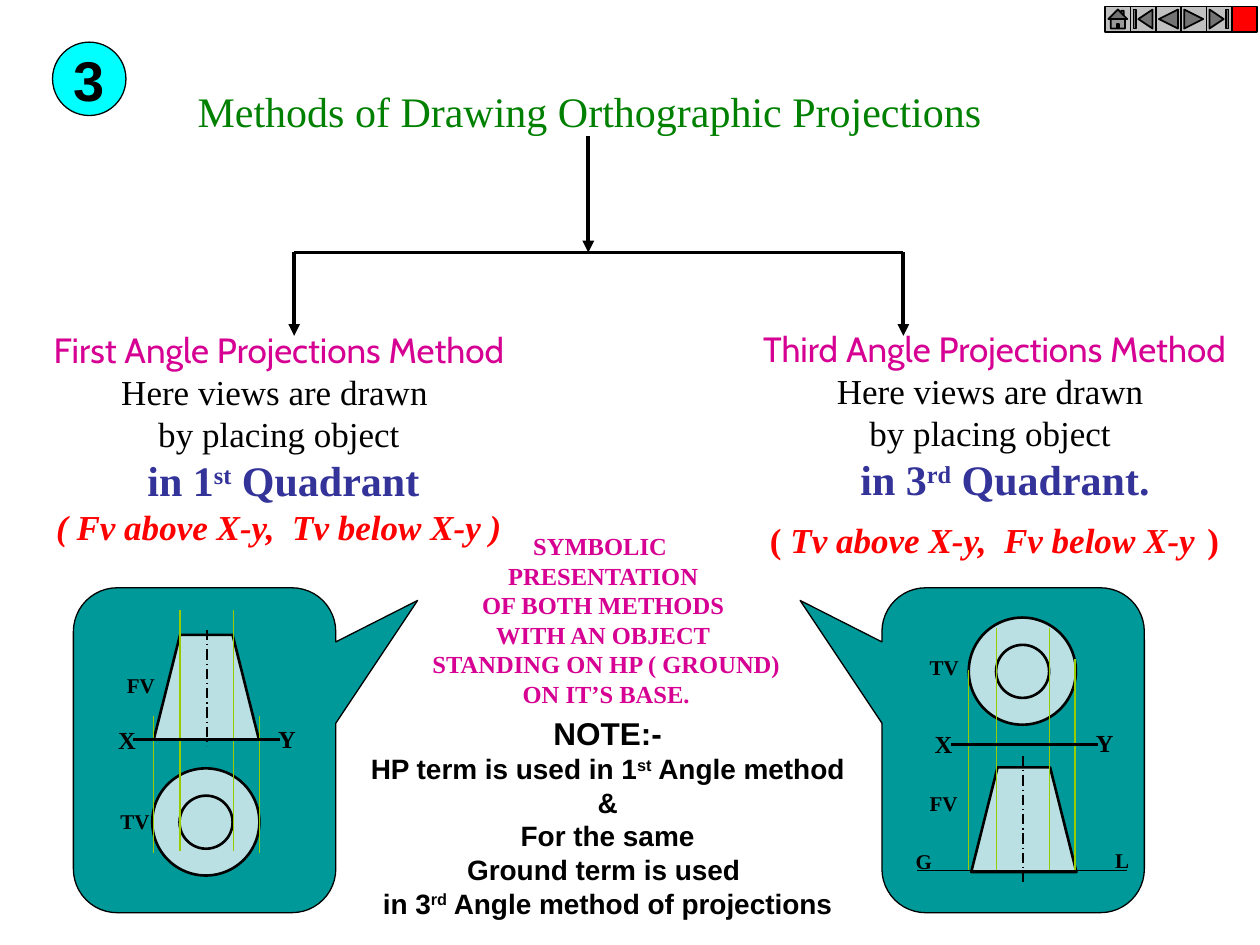
from lxml import etree
from pptx import Presentation
from pptx.dml.color import RGBColor
from pptx.enum.dml import MSO_LINE
from pptx.enum.shapes import MSO_CONNECTOR, MSO_SHAPE
from pptx.enum.text import MSO_ANCHOR, MSO_AUTO_SIZE, PP_ALIGN
from pptx.oxml.ns import qn
from pptx.util import Cm, Pt

SERIF, SANS, HEADING = "Times New Roman", "Arial", "Cabin"
BLACK, MAGENTA, NAVY, RED = "000000", "D60093", "333399", "FF0000"
TEAL, PALE_BLUE, LIME = "009999", "BBE0E3", "99CC00"


def color(value):
    return RGBColor.from_string(value)


def paint(shape, fill, weight):
    shape.shadow.inherit = False
    shape.fill.solid()
    shape.fill.fore_color.rgb = color(fill)
    shape.line.color.rgb = color(BLACK)
    shape.line.width = Pt(weight)
    return shape


def add_shape(slide, kind, box, fill, weight=0.75):
    return paint(slide.shapes.add_shape(kind, *map(Cm, box)), fill, weight)


def add_line(slide, x1, y1, x2, y2, weight=0.75, stroke=BLACK, dash=None, arrow=False):
    line = slide.shapes.add_connector(MSO_CONNECTOR.STRAIGHT, *map(Cm, (x1, y1, x2, y2)))
    line.line.color.rgb = color(stroke)
    line.line.width = Pt(weight)
    if dash:
        line.line.dash_style = dash
    properties = line._element.spPr
    if arrow:
        etree.SubElement(properties.find(qn("a:ln")), qn("a:tailEnd"), type="triangle")
    etree.SubElement(properties, qn("a:effectLst"))


def write(frame, paragraphs, align=PP_ALIGN.CENTER, **base):
    """Each paragraph is a list of (text, format changes) spans; changes carry on."""
    frame.word_wrap = False
    style = dict(size=12, font=SERIF, ink=BLACK, bold=False, italic=False, raised=False)
    style.update(base)
    for number, spans in enumerate(paragraphs):
        para = frame.add_paragraph() if number else frame.paragraphs[0]
        para.alignment = align
        for text, changes in spans:
            style.update(changes)
            span = para.add_run()
            span.text = text
            span.font.size = Pt(style["size"])
            span.font.name = style["font"]
            span.font.bold = style["bold"]
            span.font.italic = style["italic"]
            span.font.color.rgb = color(style["ink"])
            if style["raised"]:
                span.font._element.set("baseline", "30000")


def add_text(slide, box, paragraphs, **base):
    frame = slide.shapes.add_textbox(*map(Cm, box)).text_frame
    write(frame, paragraphs, **base)
    frame.auto_size = MSO_AUTO_SIZE.SHAPE_TO_FIT_TEXT
    return frame


def plain(*lines):
    return [[(line, {})] for line in lines]


def ordinal(before, suffix, after, **changes):
    return [(before, changes), (suffix, {"raised": True}), (after, {"raised": False})]


def add_title(slide, box):
    title = slide.shapes.title
    title.left, title.top, title.width, title.height = map(Cm, box)
    frame = title.text_frame
    write(frame, plain("Methods of Drawing Orthographic Projections"),
          align=PP_ALIGN.LEFT, size=24, ink="008000")
    frame.vertical_anchor = MSO_ANCHOR.TOP
    frame.auto_size = MSO_AUTO_SIZE.SHAPE_TO_FIT_TEXT


def add_branches(slide, left, top, width, height):
    """Stem from the title that splits into two arrows."""
    middle, fork = left + 5.93, top + 2.34
    right, bottom = left + width, top + height
    add_line(slide, left, fork, right, fork, 2.25)
    add_line(slide, middle, top, middle, fork, 2.25, arrow=True)
    for x in (left, right):
        add_line(slide, x, fork, x, bottom, 2.25, arrow=True)


def add_method(slide, box, name, placing, quadrant, views):
    return add_text(slide, box, [
        [(name, {"font": HEADING, "ink": MAGENTA})],
        [("Here views are drawn ", {"font": SERIF, "ink": BLACK})],
        [(placing, {})], quadrant, views], size=20)


def add_views(slide, left, top, tip, front, plan, xy, axis, projectors, labels, ground=None):
    """Callout with the front view and top view of a frustum."""
    callout = add_shape(slide, MSO_SHAPE.ROUNDED_RECTANGULAR_CALLOUT,
                        (left, top, 5.29, 6.55), TEAL)
    for index, value in enumerate((tip, -0.461, 0.167)):
        callout.adjustments[index] = value

    def local_line(x1, y1, x2, y2, **look):
        add_line(slide, left + x1, top + y1, left + x2, top + y2, **look)

    # Front view: frustum
    x, y, width, height, inset = left + front[0], top + front[1], 2.12, 2.11, 0.53
    outline = slide.shapes.build_freeform(Cm(x), Cm(y + height))
    outline.add_line_segments([(Cm(x + inset), Cm(y)), (Cm(x + width - inset), Cm(y)),
                               (Cm(x + width), Cm(y + height))], close=True)
    paint(outline.convert_to_shape(), PALE_BLUE, 1.5)
    # Top view: two concentric circles
    for inset, size in ((0, 2.16), (0.55, 1.07)):
        add_shape(slide, MSO_SHAPE.OVAL, (left + plan[0] + inset, top + plan[1] + inset,
                                          size, size), PALE_BLUE, 1.5)
    # Projectors, reference lines and axis
    for x, start, end in projectors:
        local_line(x, start, x, end, stroke=LIME)
    local_line(xy[0], xy[1], xy[0] + 2.95, xy[1], weight=1.5)
    if ground:
        local_line(*ground)
    local_line(*axis, dash=MSO_LINE.LONG_DASH_DOT)
    # Letters
    for text, x, y, width in labels:
        add_text(slide, (left + x, top + y, width, 0.76), plain(text), align=PP_ALIGN.LEFT,
                 size=14 if text in "XY" else 12, bold=True)


def add_navigation(slide, left, top, side):
    kinds = (MSO_SHAPE.ACTION_BUTTON_HOME, MSO_SHAPE.ACTION_BUTTON_BEGINNING,
             MSO_SHAPE.ACTION_BUTTON_BACK_OR_PREVIOUS,
             MSO_SHAPE.ACTION_BUTTON_FORWARD_OR_NEXT,
             MSO_SHAPE.ACTION_BUTTON_END, MSO_SHAPE.ACTION_BUTTON_CUSTOM)
    for index, kind in enumerate(kinds):
        fill = RED if kind == MSO_SHAPE.ACTION_BUTTON_CUSTOM else "C0C0C0"
        add_shape(slide, kind, (left + index * side, top, side, side), fill, 1)


def main():
    deck = Presentation()
    deck.slide_width, deck.slide_height = Cm(25.4), Cm(19.05)
    slide = deck.slides.add_slide(deck.slide_layouts[5])

    add_title(slide, (3.73, 1.6, 16.31, 1.27))
    add_branches(slide, 5.93, 2.75, 12.28, 4.02)

    # The two methods
    add_method(slide, (0.28, 6.5, 10.69, 4.67), "First Angle Projections Method",
               "by placing object",
               [(" ", {})] + ordinal("in 1", "st", " Quadrant", size=24, ink=NAVY, bold=True),
               [("( Fv above X-y,  Tv below X-y )", {"size": 20, "ink": RED, "italic": True})])
    third = add_method(slide, (14.55, 6.48, 11, 5.05), "Third Angle Projections Method",
                       "by placing object ",
                       ordinal("in 3", "rd", " Quadrant.", size=24, ink=NAVY, bold=True),
                       [("( ", {"size": 20, "ink": RED}),
                        ("Tv above X-y,  Fv below X-y", {"italic": True}),
                        (" ", {"size": 28, "italic": False}), (")", {"size": 20})])
    third.paragraphs[3]._p.get_or_add_pPr().set("marL", str(Cm(0.42)))

    # Symbolic views
    add_views(slide, 1.48, 11.85, 0.812, front=(1.62, 0.95), plan=(1.59, 3.64),
              xy=(1.21, 3.06), axis=(2.69, 0.85, 2.69, 3.19),
              projectors=[(3.75, 2.58, 5.35), (1.62, 2.58, 5.35),
                          (3.22, 0.44, 5.3), (2.15, 0.44, 5.3)],
              labels=[("FV", 0.83, 1.59, 1.07), ("TV", 0.7, 4.33, 1.09),
                      ("X", 0.65, 2.65, 0.86), ("Y", 3.88, 2.63, 0.86)])
    add_views(slide, 17.78, 11.85, -0.812, front=(1.8, 3.62), plan=(1.75, 0.6),
              xy=(1.4, 3.16), axis=(2.84, 3.39, 2.84, 5.93), ground=(0.71, 5.7, 4.93, 5.7),
              projectors=[(3.89, 1.43, 5.7), (1.75, 1.66, 5.7),
                          (3.38, 0.8, 5.68), (2.31, 0.8, 5.68)],
              labels=[("X", 0.81, 2.73, 0.86), ("Y", 4.06, 2.7, 0.86),
                      ("G", 0.43, 5.14, 0.84), ("L", 4.45, 5.12, 0.79),
                      ("TV", 0.71, 1.23, 1.09), ("FV", 0.71, 3.97, 1.07)])

    # Caption and note between the views
    add_text(slide, (8.31, 10.59, 7.7, 3.81),
             plain("SYMBOLIC ", "PRESENTATION", "OF BOTH METHODS", "WITH AN OBJECT",
                   " STANDING ON HP ( GROUND)", " ON IT’S BASE."),
             size=14, ink=MAGENTA, bold=True)
    add_text(slide, (7.21, 14.27, 10.08, 4.42),
             [[("NOTE:-", {"size": 18})],
              ordinal("HP term is used in 1", "st", " Angle method", size=16),
              *plain("&", "For the same", "Ground term is used "),
              ordinal("in 3", "rd", " Angle method of projections")],
             font=SANS, bold=True)

    # Section number
    badge = add_shape(slide, MSO_SHAPE.OVAL, (1.06, 0.85, 1.48, 1.48), "00FFFF")
    write(badge.text_frame, plain("3"), size=32, font=SANS, bold=True)
    badge.text_frame.vertical_anchor = MSO_ANCHOR.MIDDLE

    add_navigation(slide, 22.28, 0.13, 0.51)
    deck.save("out.pptx")


if __name__ == "__main__":
    main()
